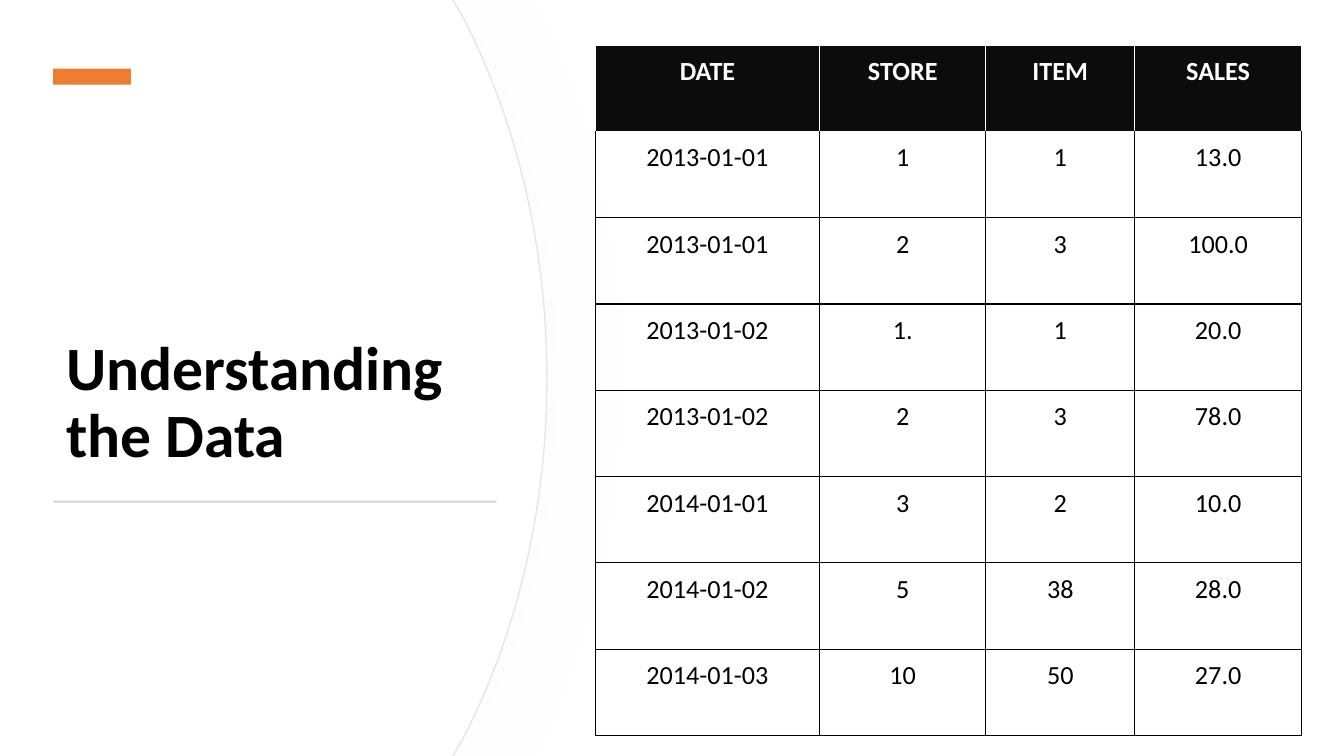
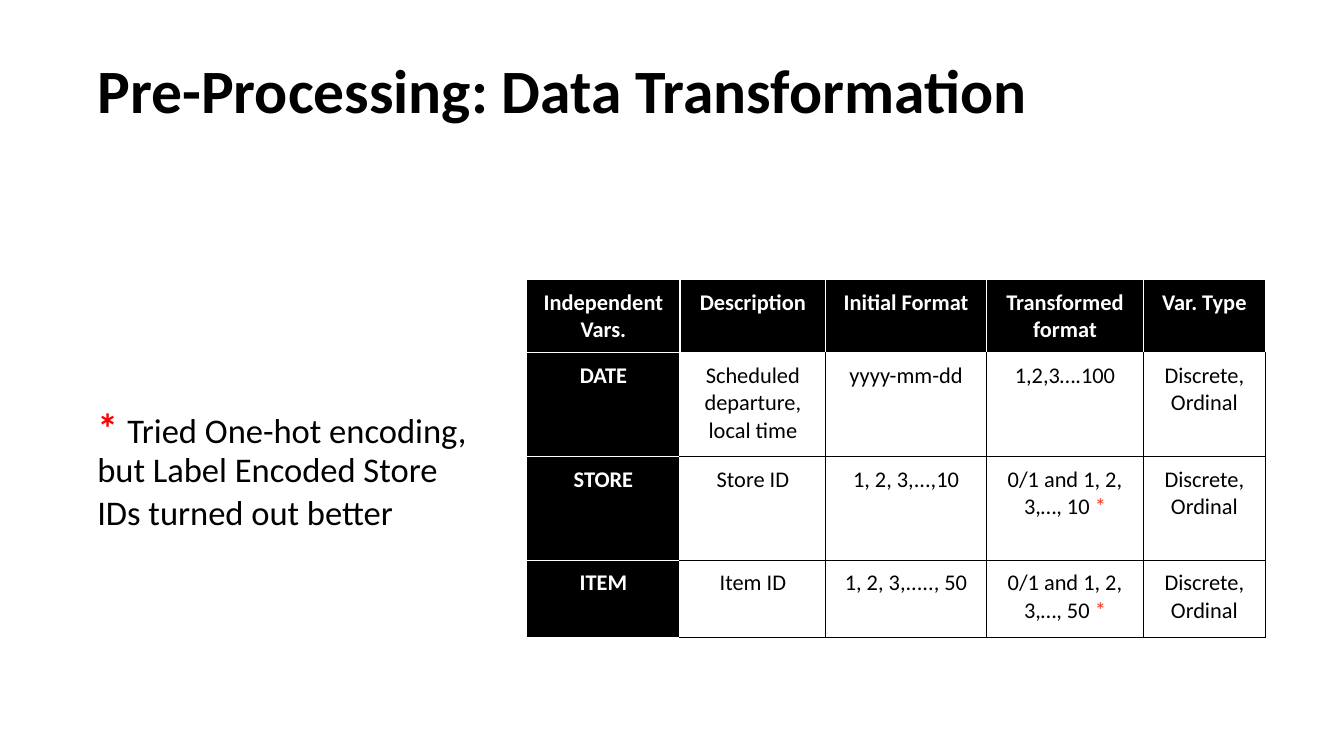
from lxml import etree
from pptx import Presentation
from pptx import util as u
from pptx.dml.color import RGBColor
from pptx.enum import shapes, text
from pptx.oxml.ns import qn

PX = 4572  # 200 px to the inch
WIDTH, HEIGHT = 2000, 1125
FONT = "Calibri"
BLACK, WHITE, ORANGE, GREY = "000000", "FFFFFF", "ED7D31", "D5D5D5"
rgb = RGBColor.from_string


def add_text(page, left, top, width, height, anchor, spans):
    """Add a one-paragraph text box; each span is (words, size, colour, bold)."""
    box = page.shapes.add_textbox(left * PX, top * PX, width * PX, height * PX)
    box.text_frame.word_wrap = True
    box.text_frame.vertical_anchor = anchor
    para = box.text_frame.paragraphs[0]
    para.line_spacing = 0.9
    para.font.name = FONT
    for words, size, colour, bold in spans:
        span = para.add_run()
        span.text = words
        span.font.size = u.Pt(size)
        span.font.bold = bold
        span.font.color.rgb = rgb(colour)


def add_grid(page, left, top, widths, heights, rows, size, inset, dark, dark_columns):
    """Add a table with a dark header row; edges that touch a dark cell are white."""
    frame = page.shapes.add_table(len(rows), len(widths), left * PX, top * PX,
                                  sum(widths) * PX, int(sum(heights) * PX))
    table = frame.table
    table.horz_banding = False
    for column, width in zip(table.columns, widths):
        column.width = width * PX
    for row, height in zip(table.rows, heights):
        row.height = int(height * PX)

    for r, row in enumerate(rows):
        for c, words in enumerate(row):
            cell = table.cell(r, c)
            is_dark = r == 0 or c < dark_columns
            cell.margin_left = cell.margin_right = inset * PX
            cell.margin_top = cell.margin_bottom = inset * PX

            # Text, with a red star where there is one
            para = cell.text_frame.paragraphs[0]
            para.alignment = text.PP_ALIGN.CENTER
            para.font.name = FONT
            para.font.size = u.Pt(size)
            plain, star, _ = words.partition("*")
            for part, colour in ((plain, WHITE if is_dark else BLACK), (star, "F03723")):
                if part:
                    span = para.add_run()
                    span.text = part
                    span.font.bold = is_dark
                    span.font.color.rgb = rgb(colour)

            # Borders
            white_edges = {
                "L": is_dark or c - 1 in range(dark_columns),
                "R": is_dark,
                "T": is_dark or r == 1,
                "B": is_dark,
            }
            props = cell._tc.get_or_add_tcPr()
            for side, is_white in white_edges.items():
                line = etree.SubElement(props, qn(f"a:ln{side}"), w=str(u.Pt(0.75)))
                fill = etree.SubElement(line, qn("a:solidFill"))
                etree.SubElement(fill, qn("a:srgbClr"), val=WHITE if is_white else BLACK)

            # Fill
            if is_dark:
                cell.fill.solid()
                cell.fill.fore_color.rgb = rgb(dark)
            else:
                cell.fill.background()


deck = Presentation()
deck.slide_width, deck.slide_height = WIDTH * PX, HEIGHT * PX
blank = deck.slide_layouts[6]

# ---- Slide 1: understanding the data ----
page = deck.slides.add_slide(blank)

# Curved panel: an outlined sheet with a shadow, then a plain sheet over it
for edge, outlined in ((814, True), (812, False)):
    shoulder = edge - 128
    upper = []
    for step in range(25):
        t = step / 24
        x = (shoulder * (1 - t) ** 3 + 3 * (edge - 48) * t * (1 - t) ** 2
             + 3 * edge * t ** 2 * (1 - t) + edge * t ** 3)
        y = (20 * (1 - t) ** 3 + 3 * 172 * t * (1 - t) ** 2
             + 3 * 360 * t ** 2 * (1 - t) + HEIGHT / 2 * t ** 3)
        upper.append((x, y))
    lower = [(x, HEIGHT - y) for x, y in reversed(upper[:-1])]
    outline = [(edge - 140, 0), *upper, *lower, (edge - 140, HEIGHT), (0, HEIGHT)]
    builder = page.shapes.build_freeform(0, 0)
    builder.add_line_segments([(x * PX, y * PX) for x, y in outline], close=True)
    panel = builder.convert_to_shape()
    panel.fill.solid()
    panel.fill.fore_color.rgb = rgb(WHITE)
    panel.shadow.inherit = False
    if outlined:
        panel.line.color.rgb = rgb("E6E6E6")
        panel.line.width = u.Pt(0.75)
        effects = panel._element.spPr.find(qn("a:effectLst"))
        shadow = etree.SubElement(effects, qn("a:outerShdw"), blurRad=str(u.Pt(50)),
                                  dist=str(u.Pt(3)), dir="0", rotWithShape="0")
        tint = etree.SubElement(shadow, qn("a:srgbClr"), val="D9D9D9")
        etree.SubElement(tint, qn("a:alpha"), val="6000")
    else:
        panel.line.fill.background()

add_text(page, 79, 184, 660, 526, text.MSO_ANCHOR.BOTTOM,
         [("Understanding the Data", 33, BLACK, True)])

# Accent bar and rule
for top, width, height, colour in ((102, 116, 24, ORANGE), (745, 660, 3, GREY)):
    bar = page.shapes.add_shape(shapes.MSO_SHAPE.RECTANGLE,
                                79 * PX, top * PX, width * PX, height * PX)
    bar.shadow.inherit = False
    bar.fill.solid()
    bar.fill.fore_color.rgb = rgb(colour)
    bar.line.fill.background()

sales_rows = [
    ("DATE", "STORE", "ITEM", "SALES"),
    ("2013-01-01", "1", "1", "13.0"),
    ("2013-01-01", "2", "3", "100.0"),
    ("2013-01-02", "1.", "1", "20.0"),
    ("2013-01-02", "2", "3", "78.0"),
    ("2014-01-01", "3", "2", "10.0"),
    ("2014-01-02", "5", "38", "28.0"),
    ("2014-01-03", "10", "50", "27.0"),
]
add_grid(page, 886, 67, [334, 247, 222, 248], [1028 / 8] * 8, sales_rows,
         size=14, inset=16, dark="0C0C0C", dark_columns=0)

# ---- Slide 2: data transformation ----
page = deck.slides.add_slide(blank)

# Title band
band = page.shapes.add_shape(shapes.MSO_SHAPE.RECTANGLE, 0, 0, WIDTH * PX, 278 * PX)
band.shadow.inherit = False
band.fill.solid()
band.fill.fore_color.rgb = rgb(WHITE)
band.line.fill.background()

add_text(page, 125, 55, 1738, 168, text.MSO_ANCHOR.MIDDLE,
         [("Pre-Processing: Data Transformation", 33, BLACK, True)])

# Encoding note; the closing space keeps the last line as tall as the first
add_text(page, 125, 527, 604, 278, text.MSO_ANCHOR.BOTTOM, [
    ("* ", 22.2, "FF0000", True),
    ("Tried One-hot encoding, but Label Encoded Store IDs turned out better",
     18.5, BLACK, False),
    (" ", 22.2, BLACK, False),
])

variable_rows = [
    ("Independent Vars.", "Description", "Initial Format", "Transformed format",
     "Var. Type"),
    ("DATE", "Scheduled departure, local time", "yyyy-mm-dd", "1,2,3….100",
     "Discrete, Ordinal"),
    ("STORE", "Store ID", "1, 2, 3,...,10", "0/1 and 1, 2, 3,…, 10 *",
     "Discrete, Ordinal"),
    ("ITEM", "Item ID", "1, 2, 3,....., 50", "0/1 and 1, 2, 3,…, 50 *",
     "Discrete, Ordinal"),
]
add_grid(page, 784, 416, [228, 217, 239, 234, 181], [109, 155, 154, 115], variable_rows,
         size=12, inset=14, dark=BLACK, dark_columns=1)

deck.save("out.pptx")
